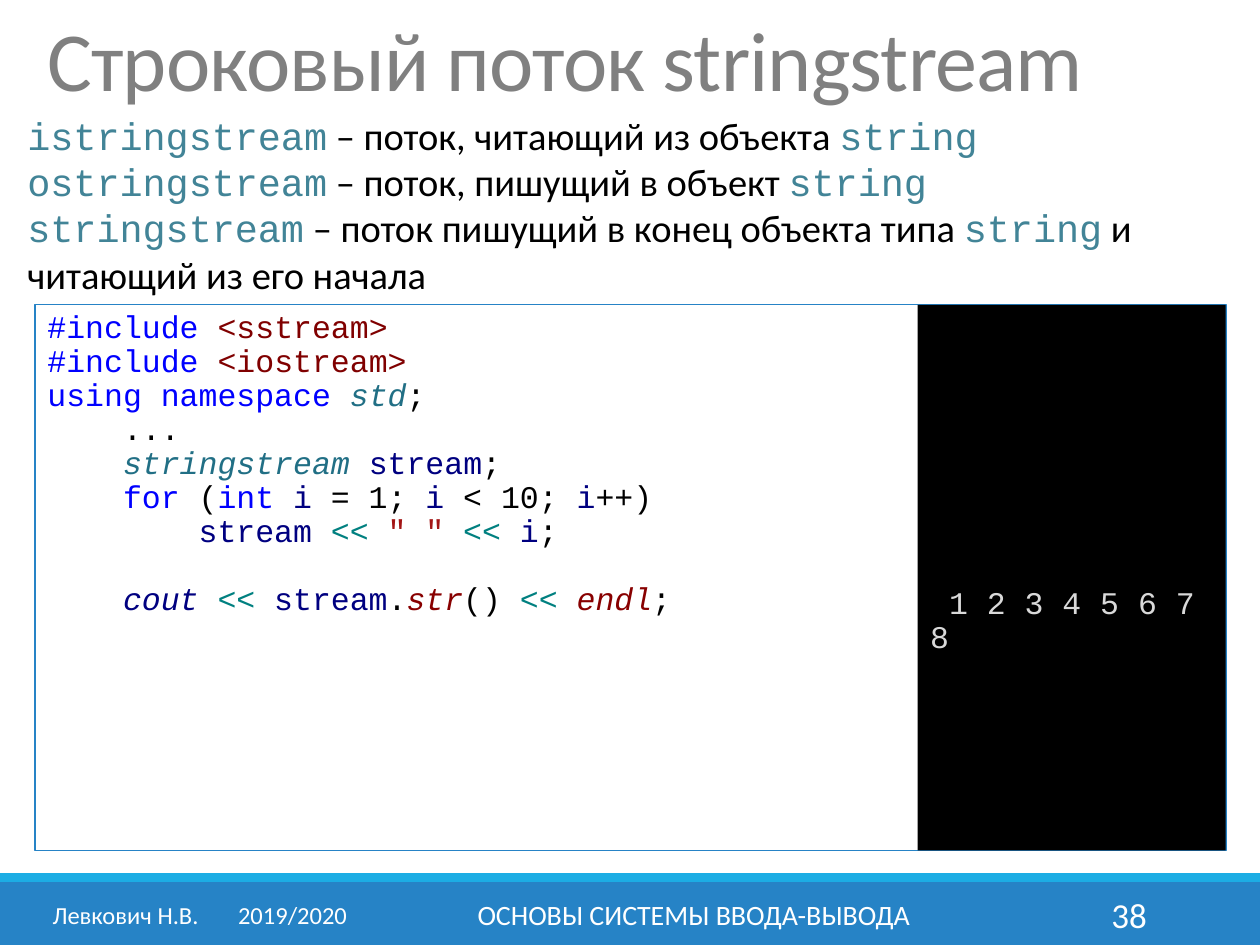
from lxml import etree
from pptx import Presentation, util as u
from pptx.dml import color
from pptx.enum import shapes, text
from pptx.oxml import ns

BLUE, NAVY, TEAL, MAROON = "0000FF", "000080", "008080", "800000"
TYPE, CALL, BLACK, WHITE = "216F85", "880000", "000000", "FFFFFF"
STEP = 43.2
LINE = 19.44


def rgb(code):
    """Turn a hex string into a colour."""
    return color.RGBColor.from_string(code)


class Deck:
    """Hold the style and the current slide."""

    mono, sans = "Courier New", "Calibri"

    def __init__(self, wide, high):
        """Start a deck with one blank slide."""
        self.prs = Presentation()
        self.prs.slide_width, self.prs.slide_height = u.Pt(wide), u.Pt(high)
        self.slide = self.prs.slides.add_slide(self.prs.slide_layouts[6])

    def rect(self, box, fill=None, line=None):
        """Add a rectangle."""
        item = self.slide.shapes.add_shape(
            shapes.MSO_SHAPE.RECTANGLE, *map(u.Pt, box))
        item.shadow.inherit = False
        if fill:
            item.fill.solid()
            item.fill.fore_color.rgb = rgb(fill)
        else:
            item.fill.background()
        if line:
            item.line.color.rgb = rgb(line)
            item.line.width = u.Pt(0.75)
        else:
            item.line.fill.background()
        return self.frame(item)

    def label(self, box, mid=False):
        """Add a text box."""
        return self.frame(self.slide.shapes.add_textbox(*map(u.Pt, box)), mid)

    def frame(self, item, mid=False):
        """Set wrapping and anchor of a text frame."""
        body = item.text_frame
        body.word_wrap = True
        kind = text.MSO_ANCHOR
        body.vertical_anchor = kind.MIDDLE if mid else kind.TOP
        return body

    def para(self, body, runs, size, align="LEFT", lead=None, left=0, gap=0):
        """Add a paragraph of (words, colour, font, italic) runs."""
        first = body.paragraphs[0]
        par = body.add_paragraph() if first.runs else first
        par.alignment = getattr(text.PP_ALIGN, align)
        if lead:
            par.line_spacing = lead
        if gap:
            par.space_before = u.Pt(gap)
        if left:
            par._p.get_or_add_pPr().set("marL", str(u.Pt(left)))
        for words, tint, face, slant in runs:
            run = par.add_run()
            run.text = words
            run.font.size, run.font.name = u.Pt(size), face
            run.font.italic = slant
            run.font.color.rgb = rgb(tint)
        return par

    def plain(self, box, words, size, tint=WHITE, mid=True, **opts):
        """Add a text box with one run of sans text."""
        body = self.label(box, mid)
        return self.para(body, [(words, tint, self.sans, False)], size, **opts)

    def tab(self, par, pos):
        """Set a left tab stop."""
        tabs = etree.SubElement(par._p.get_or_add_pPr(), ns.qn("a:tabLst"))
        etree.SubElement(tabs, ns.qn("a:tab"), pos=str(u.Pt(pos)), algn="l")


deck = Deck(720, 540)
deck.rect((0, 504, 720, 36), "2683C6")
deck.rect((0, 499, 720, 5), "1CADE4")

notes = [
    ("istringstream", " – поток, читающий из объекта ", ""),
    ("ostringstream", " – поток, пишущий в объект ", ""),
    ("stringstream", " – поток пишущий в конец объекта типа ",
     " и читающий из его начала"),
]
intro = deck.label((8.6, 60.5, 692, 113.8))
for name, verb, tail in notes:
    runs = [(name, "428497", deck.mono, False),
            (verb, BLACK, deck.sans, False),
            ("string", "428497", deck.mono, False)]
    if tail:
        runs.append((tail, BLACK, deck.sans, False))
    deck.para(intro, runs, 22)

foot, tall = 508.3, 28.8
date = deck.plain((23, foot, 188, tall), "Левкович Н.В.\t2019/2020", 14)
deck.tab(date, 106)
deck.plain((217.5, foot, 358, tall), "ОСНОВЫ СИСТЕМЫ ВВОДА-ВЫВОДА", 16,
           align="CENTER")
deck.plain((584.6, foot, 77.8, tall), "38", 20, align="RIGHT")

title = deck.plain((20, 9.4, 680.5, 62.6), "Строковый поток stringstream", 48,
                   "808080", mid=False, lead=0.85)
title.runs[0].font._element.set("spc", "-50")

code = [
    (0, [("#include ", BLUE), ("<sstream>", MAROON)]),
    (0, [("#include ", BLUE), ("<iostream>", MAROON)]),
    (0, [("using namespace ", BLUE), ("std", TYPE, True), (";", BLACK)]),
    (1, [("...", BLACK)]),
    (1, [("stringstream", TYPE, True), (" ", BLACK), ("stream", NAVY),
         (";", BLACK)]),
    (1, [("for", BLUE), (" (", BLACK), ("int ", BLUE), ("i", NAVY),
         (" = 1; ", BLACK), ("i", NAVY), (" < 10; ", BLACK), ("i", NAVY),
         ("++)", BLACK)]),
    (2, [("stream ", NAVY), ("<< ", TEAL), ('" " ', "A31515"),
         ("<< ", TEAL), ("i", NAVY), (";", BLACK)]),
    (1, [("cout ", NAVY, True), ("<< ", TEAL), ("stream", NAVY),
         (".", BLACK), ("str", CALL, True), ("() ", BLACK), ("<< ", TEAL),
         ("endl", CALL, True), (";", BLACK)]),
]
panel = deck.rect((20, 174.2, 680.5, 311.8), line="2683C6")
for depth, parts in code:
    runs = [(words, tint, deck.mono, bool(slant))
            for words, tint, *slant in parts]
    gap = LINE if parts[0][0] == "cout " else 0
    deck.para(panel, runs, 18, lead=0.9, left=depth * STEP, gap=gap)

screen = deck.rect((524.4, 174.2, 176, 311.8), BLACK)
screen.margin_top = u.Pt(161.5)
deck.para(screen, [(" 1 2 3 4 5 6 7 8", "D9D9D9", deck.mono, False)], 18,
          lead=0.9)

deck.prs.save("out.pptx")
